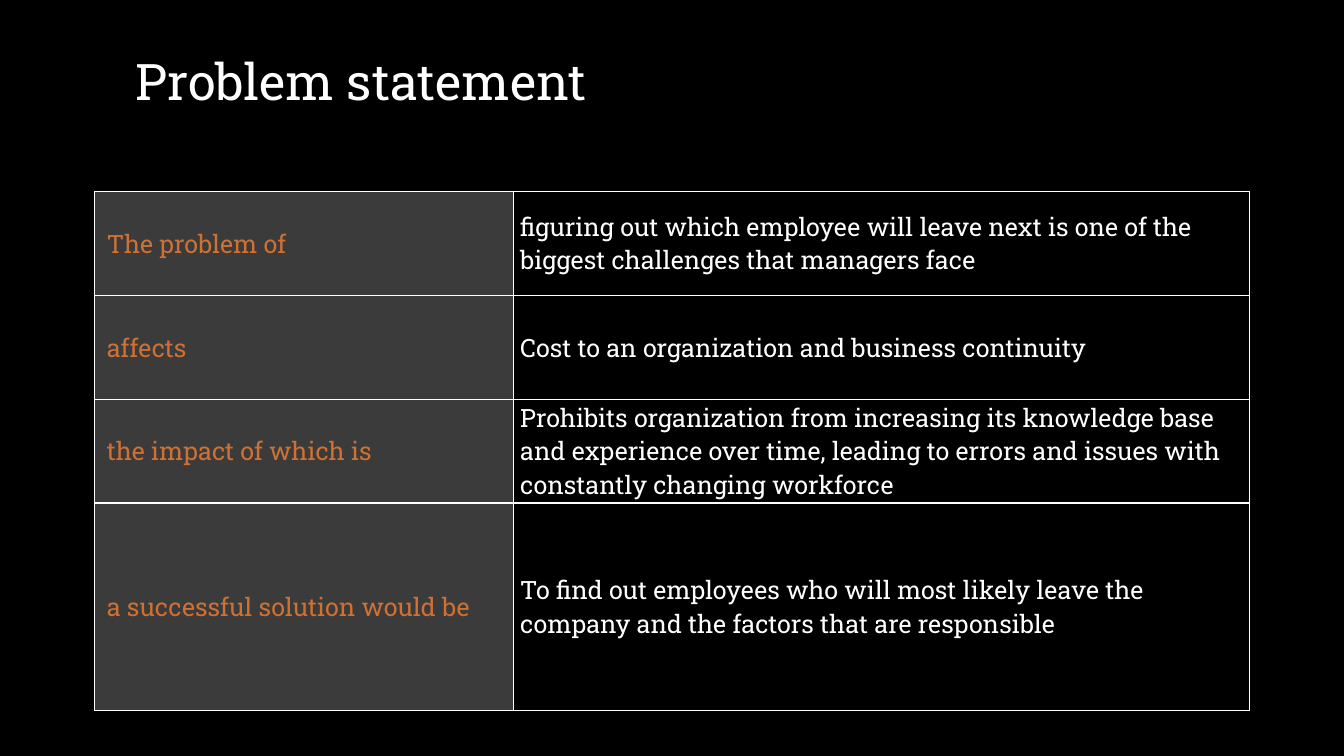
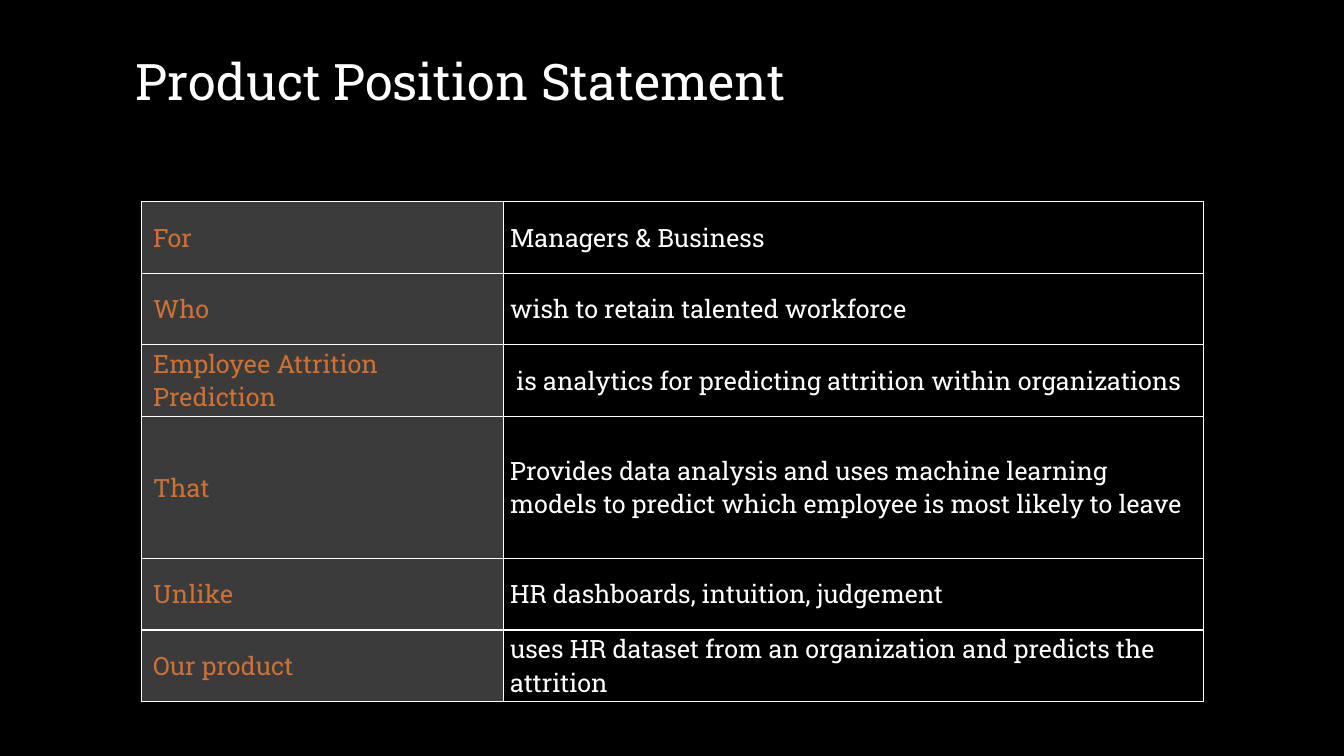
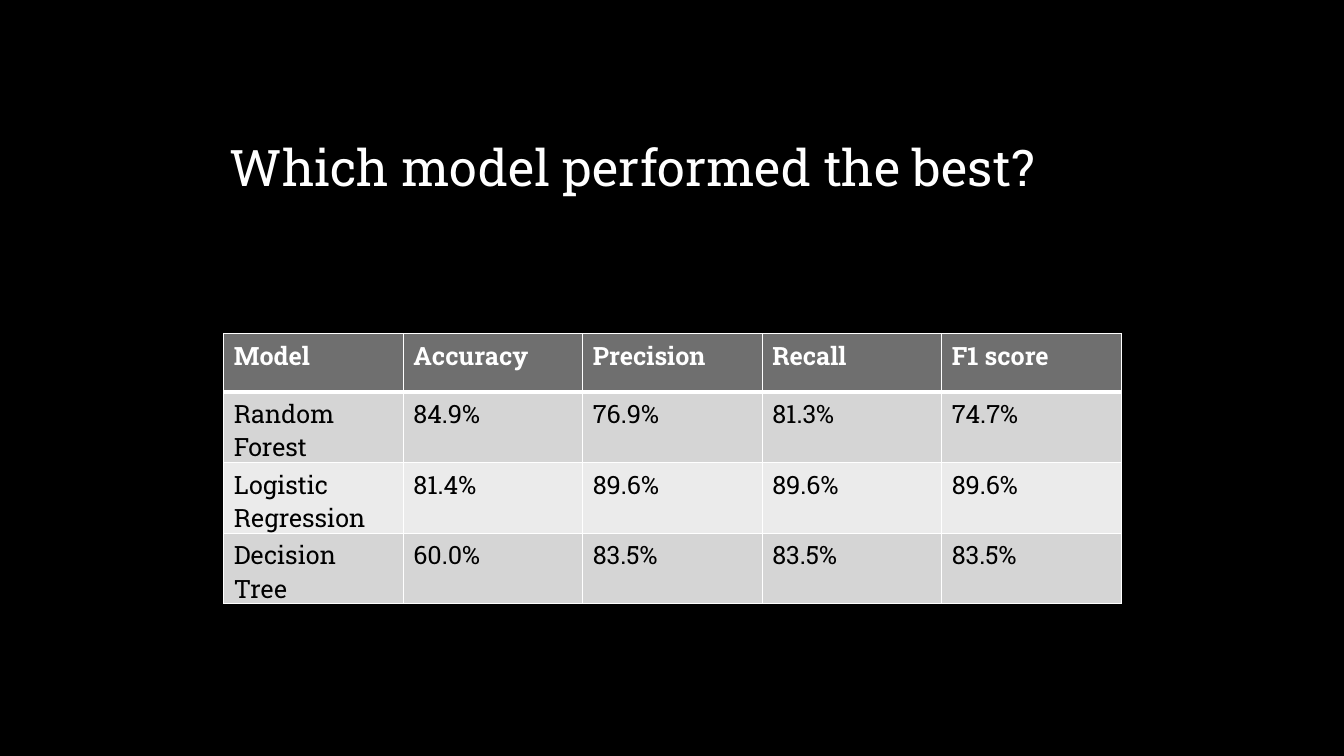
from lxml import etree
from pptx import Presentation
from pptx.dml.color import RGBColor
from pptx.enum.text import MSO_ANCHOR
from pptx.oxml.ns import qn
from pptx.util import Inches, Pt

MIDDLE, TOP = MSO_ANCHOR.MIDDLE, MSO_ANCHOR.TOP
BLACK = RGBColor(0x00, 0x00, 0x00)
WHITE = RGBColor(0xFF, 0xFF, 0xFF)
ORANGE = RGBColor(0xCF, 0x71, 0x33)
LABEL_GRAY = RGBColor(0x3B, 0x3B, 0x3B)
HEADER_GRAY = RGBColor(0x6F, 0x6F, 0x6F)
BANDS = (RGBColor(0xD5, 0xD5, 0xD5), RGBColor(0xEB, 0xEB, 0xEB))
FONT = "Roboto Slab"
TITLE_SIZE, BODY_SIZE = 36, 18
THIN, THICK = 1, 3
STATEMENT_TITLE_BOX = (1.25, 0.07, 10.83, 1.45)

PROBLEM = [
    ("The problem of", "figuring out which employee will leave next is one of the "
     "biggest challenges that managers face"),
    ("affects", "Cost to an organization and business continuity"),
    ("the impact of which is", "Prohibits organization from increasing its knowledge base "
     "and experience over time, leading to errors and issues with "
     "constantly changing workforce"),
    ("a successful solution would be", "To find out employees who will most likely leave the "
     "company and the factors that are responsible"),
]
POSITION = [
    ("For", "Managers & Business"),
    ("Who", "wish to retain talented workforce"),
    ("Employee Attrition Prediction",
     " is analytics for predicting attrition within organizations"),
    ("That", "Provides data analysis and uses machine learning models to predict "
     "which employee is most likely to leave"),
    ("Unlike", "HR dashboards, intuition, judgement"),
    ("Our product", "uses HR dataset from an organization and predicts the attrition"),
]
SCORES = [
    ("Model", "Accuracy", "Precision", "Recall", "F1 score"),
    ("Random Forest", "84.9%", "76.9%", "81.3%", "74.7%"),
    ("Logistic Regression", "81.4%", "89.6%", "89.6%", "89.6%"),
    ("Decision Tree", "60.0%", "83.5%", "83.5%", "83.5%"),
]


def style_text(paragraph, size, color, bold=False):
    """Apply the deck font to every run of a paragraph."""
    for run in paragraph.runs:
        run.font.name = FONT
        run.font.size = Pt(size)
        run.font.color.rgb = color
        run.font.bold = bold


def add_title(slide, text, box):
    """Place a slide title, vertically centred in its box."""
    frame = slide.shapes.add_textbox(*map(Inches, box)).text_frame
    frame.word_wrap = True
    frame.vertical_anchor = MIDDLE
    frame.text = text
    style_text(frame.paragraphs[0], TITLE_SIZE, WHITE)


def set_borders(cell, top=THIN, bottom=THIN):
    """Draw white lines on the four sides of a cell."""
    properties = cell._tc.get_or_add_tcPr()
    for side, width in (("L", THIN), ("R", THIN), ("T", top), ("B", bottom)):
        line = etree.SubElement(properties, qn(f"a:ln{side}"), w=str(Pt(width)))
        fill = etree.SubElement(line, qn("a:solidFill"))
        etree.SubElement(fill, qn("a:srgbClr"), val=str(WHITE))


def fill_cell(cell, text, color, fill, bold=False, anchor=TOP):
    """Write a cell's text and set its fill."""
    cell.text = text
    cell.vertical_anchor = anchor
    style_text(cell.text_frame.paragraphs[0], BODY_SIZE, color, bold)
    if fill is None:
        cell.fill.background()
    else:
        cell.fill.solid()
        cell.fill.fore_color.rgb = fill


def add_grid(slide, left, top, widths, heights):
    """Add an unbanded table with the given column widths and row heights."""
    box = (left, top, sum(widths), sum(heights))
    table = slide.shapes.add_table(len(heights), len(widths), *map(Inches, box)).table
    table.first_row = table.horz_banding = False
    for column, width in zip(table.columns, widths):
        column.width = Inches(width)
    for row, height in zip(table.rows, heights):
        row.height = Inches(height)
    return table


def add_statement_table(slide, rows, left, top, widths, heights):
    """Add a table of orange labels beside white statements."""
    table = add_grid(slide, left, top, widths, heights)
    looks = ((ORANGE, LABEL_GRAY, 0.12), (WHITE, None, 0.07))
    for r, texts in enumerate(rows):
        for c, (text, (color, fill, inset)) in enumerate(zip(texts, looks)):
            cell = table.cell(r, c)
            set_borders(cell)
            cell.margin_left, cell.margin_right = Inches(inset), Inches(0.07)
            cell.margin_top = cell.margin_bottom = 0
            fill_cell(cell, text, color, fill, anchor=MIDDLE)
            cell.text_frame.paragraphs[0].space_after = Pt(6)


def add_score_table(slide, rows, left, top, widths, heights):
    """Add a banded table of model scores under a header row."""
    table = add_grid(slide, left, top, widths, heights)
    table.first_row = True
    for r, texts in enumerate(rows):
        header = r == 0
        color, fill = (WHITE, HEADER_GRAY) if header else (BLACK, BANDS[(r - 1) % 2])
        for c, text in enumerate(texts):
            cell = table.cell(r, c)
            set_borders(cell, top=THICK if r == 1 else THIN, bottom=THICK if header else THIN)
            fill_cell(cell, text, color, fill, bold=header)


def main():
    """Build the three slides and save the deck."""
    deck = Presentation()
    deck.slide_width, deck.slide_height = Inches(13.33), Inches(7.5)
    backdrop = deck.slide_master.background.fill
    backdrop.solid()
    backdrop.fore_color.rgb = BLACK
    blank = deck.slide_layouts[6]

    problem = deck.slides.add_slide(blank)
    add_title(problem, "Problem statement", STATEMENT_TITLE_BOX)
    add_statement_table(problem, PROBLEM, 0.94, 1.9, (4.15, 7.3), [1.03] * 3 + [2.06])

    position = deck.slides.add_slide(blank)
    add_title(position, "Product Position Statement", STATEMENT_TITLE_BOX)
    add_statement_table(position, POSITION, 1.4, 2, (3.59, 6.95),
                        [0.71] * 3 + [1.41] + [0.71] * 2)

    scores = deck.slides.add_slide(blank)
    add_title(scores, "Which model performed the best?", (2.18, 0.93, 9.7, 1.45))
    add_score_table(scores, SCORES, 2.22, 3.31, [1.78] * 5, [0.58] + [0.7] * 3)

    deck.save("out.pptx")


if __name__ == "__main__":
    main()
